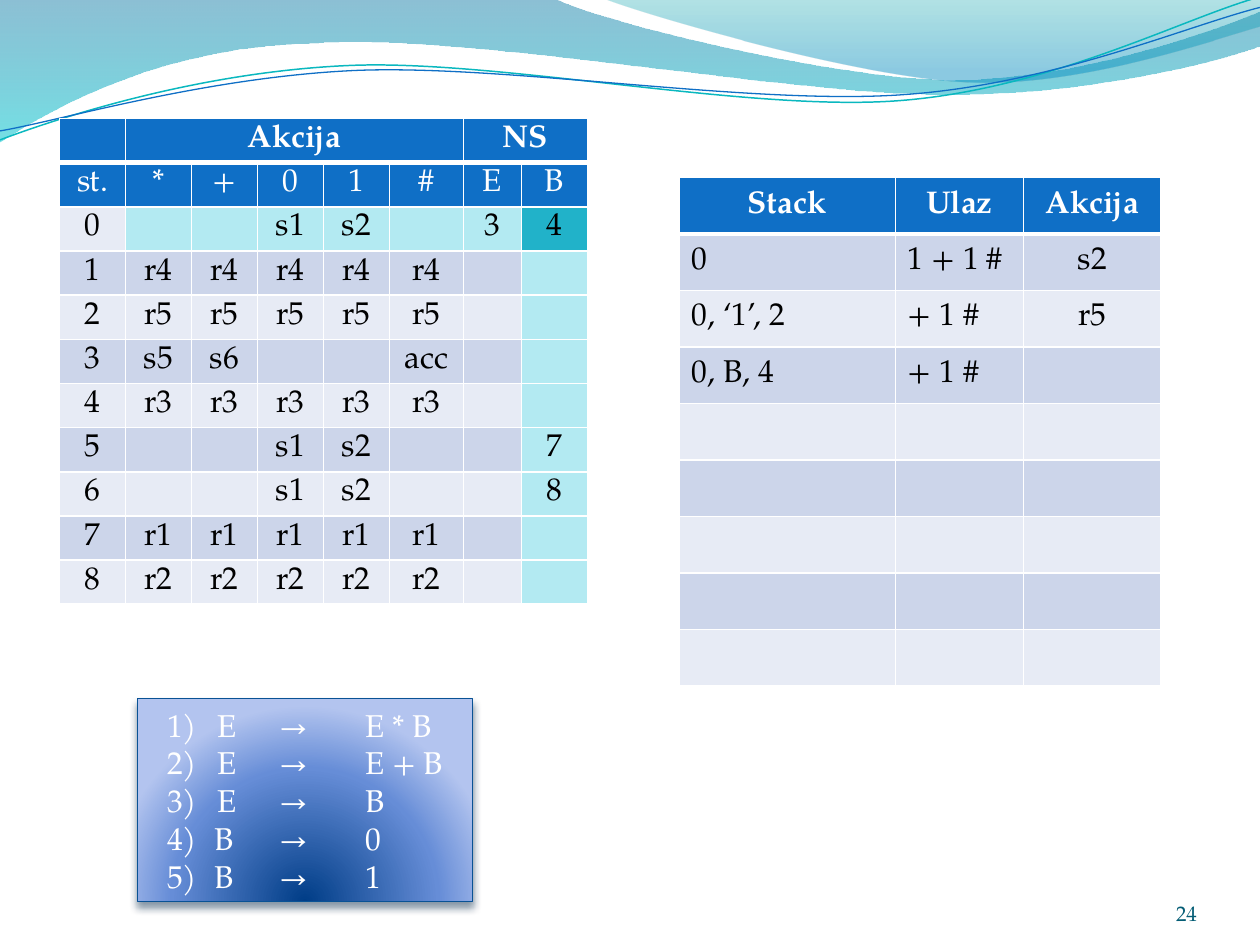
import math
import pptx
import pptx.util
import pptx.dml.color
import pptx.enum.shapes
import pptx.enum.text
import pptx.oxml
import pptx.oxml.ns

Cm, Pt = pptx.util.Cm, pptx.util.Pt
ALIGN, ANCHOR = pptx.enum.text.PP_ALIGN, pptx.enum.text.MSO_ANCHOR
FONT = "TeX Gyre Pagella"
BLUE, WHITE, BLACK = "0F6FC6", "FFFFFF", "000000"
BANDS = ["E7EBF5", "CCD5EA"]
PALE, TEAL = "B3EAF2", "21B2C9"


def color(text):
    return pptx.dml.color.RGBColor.from_string(text)


def make(tag, body="", attrs=""):
    space = pptx.oxml.ns.nsdecls("a")
    return pptx.oxml.parse_xml(f"<a:{tag} {space} {attrs}>{body}</a:{tag}>")


def style(para, size, tone, bold=False, align=ALIGN.LEFT):
    para.alignment = align
    font = para.font
    font.name, font.size, font.bold = FONT, Pt(size), bold
    font.color.rgb = color(tone)


def shade(shape, stops, kind):
    """Give the shape a gradient of (position, color, opacity) stops."""
    body = "".join(
        f'<a:gs pos="{pos * 1000}"><a:srgbClr val="{tone}">'
        f'<a:alpha val="{alpha * 1000}"/></a:srgbClr></a:gs>'
        for pos, tone, alpha in stops)
    fill = make("gradFill", f"<a:gsLst>{body}</a:gsLst>{kind}", 'rotWithShape="1"')
    shape.fill.background()
    old = shape._element.spPr.find(pptx.oxml.ns.qn("a:noFill"))
    old.getparent().replace(old, fill)


# Waves along the top edge
def turn(point, mid, angle):
    """Turn a point clockwise around mid."""
    x, y = point[0] - mid[0], point[1] - mid[1]
    cos, sin = math.cos(math.radians(angle)), math.sin(math.radians(angle))
    return mid[0] + x * cos - y * sin, mid[1] + x * sin + y * cos


def draw(slide, parts, left, top, close, mid=(0, 0), spin=0):
    """Join parts: 2 numbers make a line, 6 numbers a curve."""
    spots = [turn(part[n:n + 2], mid, -spin)
             for part in parts for n in range(0, len(part), 2)]
    spots = [(Cm(left + x), Cm(top + y)) for x, y in spots]
    build = slide.shapes.build_freeform(*spots[0])
    build.add_line_segments(spots[1:], close=close)
    shape = build.convert_to_shape()
    shape.shadow.inherit = False
    shape.rotation = spin
    # Bend each run of three points into one curve
    steps = iter(list(shape._element.iter(pptx.oxml.ns.qn("a:lnTo"))))
    for part in parts[1:]:
        group = [next(steps) for _ in range(len(part) // 2)]
        if len(group) == 3:
            curve = make("cubicBezTo")
            group[0].addprevious(curve)
            for step in group:
                curve.append(step[0])
                step.getparent().remove(step)
    return shape


def add_waves(slide, left, top):
    bands = [
        ([(0, 0), (11.18, -0.03), (12.09, 0.43, 16.87, 1.6, 19.25, 1.6),
          (21.67, 1.6, 24.33, 0.66, 25.4, 0.23), (25.43, 0.91),
          (24.97, 1.12, 22.1, 1.93, 18.95, 1.9),
          (15.8, 1.9, 9.7, 0.71, 6.53, 0.86),
          (3.28, 0.91, 1.17, 2.11, -0.03, 2.87), (0, 0)],
         [(0, "0074A1", 45), (100, "00C6CF", 55)]),
        ([(12.17, -0.03), (12.93, 0.28, 17.32, 1.57, 19.53, 1.65),
          (21.74, 1.75, 24.41, 0.81, 25.4, 0.53), (25.4, 0), (12.17, -0.03)],
         [(0, "00A1A9", 30), (80, "008BBF", 45)]),
    ]
    for parts, stops in bands:
        band = draw(slide, parts, left, top, True)
        shade(band, stops, '<a:lin ang="5400000" scaled="1"/>')
        band.line.fill.background()
    lines = [
        ([(0, 2.82), (1.22, 2.36, 4.01, 1.45, 7.04, 1.32),
          (10.03, 1.19, 15.06, 2.26, 18.11, 2.03),
          (21.16, 1.8, 23.83, 0.38, 25.35, -0.05)], (12.67, 1.46), "0AB8BF", 0.85),
        ([(0, 2.64), (1.19, 2.44, 4.17, 1.55, 7.19, 1.42),
          (10.24, 1.3, 15.16, 2.13, 18.21, 1.91),
          (21.23, 1.7, 23.9, 0.53, 25.4, 0.15)], (12.69, 1.5), BLUE, 0.75),
    ]
    for parts, mid, tone, width in lines:
        line = draw(slide, parts, left, top, False, mid, 357.3)
        line.fill.background()
        line.line.color.rgb = color(tone)
        line.line.width = Pt(width)


# Tables
def add_grid(slide, left, top, cols, high, count):
    frame = slide.shapes.add_table(count, len(cols), Cm(left), Cm(top),
                                   Cm(sum(cols)), Cm(high * count))
    grid = frame.table
    for col, wide in zip(grid.columns, cols):
        col.width = Cm(wide)
    for row in grid.rows:
        row.height = Cm(high)
    return grid


def fill_cell(cell, text, back, tone, bold, align, head, pad):
    props = cell._tc.get_or_add_tcPr()
    for side in "LRTB":
        width = Pt(3 if head and side == "B" else 1)
        props.append(make(f"ln{side}", f'<a:solidFill><a:srgbClr val="{WHITE}"/>'
                          "</a:solidFill>", f'w="{width}"'))
    cell.fill.solid()
    cell.fill.fore_color.rgb = color(back)
    cell.vertical_anchor = ANCHOR.MIDDLE
    cell.margin_top = cell.margin_bottom = Cm(pad)
    cell.text = text
    style(cell.text_frame.paragraphs[0], 18, tone, bold, align)


def add_states(slide, left, top):
    """Action and goto table: one row for each state."""
    rows = [["", "Akcija", "", "", "", "", "NS", ""],
            ["st.", "*", "+", "0", "1", "#", "E", "B"],
            ["0", "", "", "s1", "s2", "", "3", "4"],
            ["1"] + ["r4"] * 5 + ["", ""],
            ["2"] + ["r5"] * 5 + ["", ""],
            ["3", "s5", "s6", "", "", "acc", "", ""],
            ["4"] + ["r3"] * 5 + ["", ""],
            ["5", "", "", "s1", "s2", "", "", "7"],
            ["6", "", "", "s1", "s2", "", "", "8"],
            ["7"] + ["r1"] * 5 + ["", ""],
            ["8"] + ["r2"] * 5 + ["", ""]]
    cols = [1.33] * 5 + [1.49, 1.17, 1.33]
    grid = add_grid(slide, left, top, cols, 0.89, len(rows))
    for r, row in enumerate(rows):
        for c, text in enumerate(row):
            if r < 2:
                back = BLUE
            elif (r, c) == (2, 7):
                back = TEAL
            elif c == 7 or (r == 2 and c > 0):
                back = PALE
            else:
                back = BANDS[r % 2]
            fill_cell(grid.cell(r, c), text, back, WHITE if r < 2 else BLACK,
                      r == 0, ALIGN.CENTER, r == 0, 0.03)
    for first, last in ((1, 5), (6, 7)):
        grid.cell(0, first).merge(grid.cell(0, last))


def add_stack(slide, left, top):
    """Trace of the stack, the input and the action taken."""
    rows = [["Stack", "Ulaz", "Akcija"], ["0", "1 + 1 #", "s2"],
            ["0, ‘1’, 2", "+ 1 #", "r5"], ["0, B, 4", "+ 1 #", ""]]
    rows += [["", "", ""]] * 5
    grid = add_grid(slide, left, top, [4.36, 2.58, 2.78], 1.14, len(rows))
    for r, row in enumerate(rows):
        for c, text in enumerate(row):
            head = r == 0
            fill_cell(grid.cell(r, c), text, BLUE if head else BANDS[r % 2],
                      WHITE if head else BLACK, head,
                      ALIGN.CENTER if head or c == 2 else ALIGN.LEFT, head, 0.13)


# Grammar rules
def add_rules(slide, left, top, wide, high):
    box = slide.shapes.add_shape(pptx.enum.shapes.MSO_SHAPE.RECTANGLE,
                                 Cm(left), Cm(top), Cm(wide), Cm(high))
    box.shadow.inherit = False
    glow = box._element.spPr.find(pptx.oxml.ns.qn("a:effectLst"))
    glow.append(make("outerShdw", '<a:srgbClr val="042747"><a:alpha val="48000"/>'
                     "</a:srgbClr>", f'blurRad="{Pt(4.5)}" dist="{Pt(3)}" '
                     'dir="5400000" rotWithShape="0"'))
    shade(box, [(0, "003D87", 100), (68, "668DD7", 100), (100, "B3C4EF", 100)],
          '<a:path path="circle"><a:fillToRect l="50000" t="130000" r="50000" '
          'b="-30000"/></a:path>')
    box.line.color.rgb = color("095295")
    box.line.width = Pt(0.75)
    frame = box.text_frame
    frame.word_wrap = True
    frame.vertical_anchor = ANCHOR.MIDDLE
    frame.margin_left, frame.margin_right = Cm(0.6), Cm(0.25)
    texts = ["1)\tE\t→\tE * B\v2)\tE\t→\tE + B\v3)\tE\t→\tB",
             "B\t→\t0", "B\t→\t1"]
    for n, text in enumerate(texts):
        para = frame.paragraphs[0] if n == 0 else frame.add_paragraph()
        para.text = text
        props = para._p.get_or_add_pPr()
        if n:
            props.set("marL", str(Cm(0.96)))
            props.set("indent", str(-Cm(0.96)))
            props.append(make("buFont", attrs='typeface="+mj-lt"'))
            props.append(make("buAutoNum", attrs='type="arabicParenR" startAt="4"'))
        stops = "".join(f'<a:tab pos="{Cm(stop)}" algn="l"/>'
                        for stop in (1.02, 2.26, 3.99))
        props.append(make("tabLst", stops))
        style(para, 18, WHITE)


# Page number
def add_page(slide, left, top, wide, high):
    box = slide.shapes.add_textbox(Cm(left), Cm(top), Cm(wide), Cm(high))
    frame = box.text_frame
    frame.word_wrap = True
    frame.vertical_anchor = ANCHOR.BOTTOM
    frame.margin_left = frame.margin_right = 0
    frame.margin_top = frame.margin_bottom = 0
    frame.text = "24"
    style(frame.paragraphs[0], 12, "045D75", align=ALIGN.RIGHT)


def main():
    deck = pptx.Presentation()
    deck.slide_width, deck.slide_height = Cm(25.4), Cm(19.05)
    slide = deck.slides.add_slide(deck.slide_layouts[6])
    add_waves(slide, 0, 0)
    add_states(slide, 1.2, 2.39)
    add_page(slide, 22.02, 17.65, 2.11, 1.02)
    add_rules(slide, 2.77, 14.08, 6.76, 4.1)
    add_stack(slide, 13.69, 3.58)
    deck.save("out.pptx")


if __name__ == "__main__":
    main()
